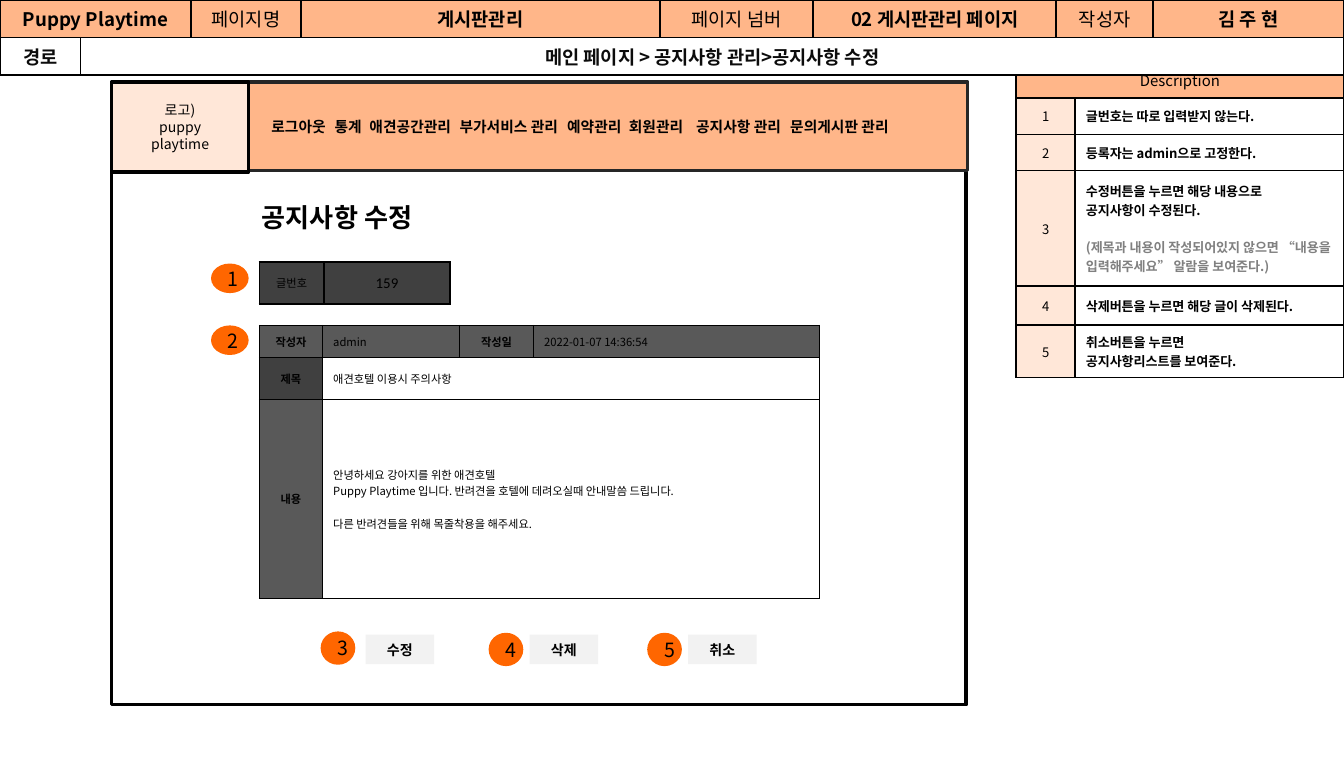
import pptx
import pptx.util
import pptx.dml.color
import pptx.enum.shapes
import pptx.enum.text
import pptx.oxml
import pptx.oxml.ns
from dataclasses import dataclass

Inches = pptx.util.Inches
Pt = pptx.util.Pt
Kind = pptx.enum.shapes.MSO_SHAPE
Align = pptx.enum.text.PP_ALIGN
Anchor = pptx.enum.text.MSO_ANCHOR
qn = pptx.oxml.ns.qn


@dataclass(frozen=True)
class Theme:
    font: str = "Noto Sans CJK KR"
    thin: str = "Calibri"
    ink: str = "000000"
    soft: str = "0C0C0C"
    edge: str = "262626"
    gray: str = "808080"
    white: str = "FFFFFF"
    peach: str = "FFB689"
    cream: str = "FFE7D8"
    dark: str = "404040"
    slate: str = "595959"
    mist: str = "F2F2F2"
    badge: str = "FF6600"
    title: float = 14
    mark: float = 10.5
    head: float = 10
    desc: float = 8
    menu: float = 7.9
    key: float = 7.5
    note: float = 7
    small: float = 6


T = Theme()
SIDES = ("left", "top", "right", "bottom")


def rgb(hue):
    return pptx.dml.color.RGBColor.from_string(hue)


def apply(item, form):
    for name, value in form.items():
        setattr(item, name, value)


def write(frame, text, size, bold=False, hue=T.ink, face=T.font, mid=True, gap=None):
    for index, part in enumerate(text.split("\n")):
        para = frame.paragraphs[0] if index == 0 else frame.add_paragraph()
        para.alignment = Align.CENTER if mid else Align.LEFT
        if gap and index == gap[0]:
            para.space_before = Pt(gap[1])
        run = para.add_run()
        run.text = part
        apply(run.font, {"size": Pt(size), "bold": bold, "name": face})
        tone = gap[2] if gap and index >= gap[0] else hue
        run.font.color.rgb = rgb(tone)
        east = pptx.oxml.parse_xml(
            f'<a:ea {pptx.oxml.ns.nsdecls("a")} typeface="{T.font}"/>')
        run.font._element.find(qn("a:latin")).addnext(east)


def inset(item, pads, stem):
    apply(item, {stem + side: Inches(pad) for side, pad in zip(SIDES, pads)})


def shape(slide, box, fill, kind=Kind.RECTANGLE, line=None, text="", pads=None, **form):
    item = slide.shapes.add_shape(kind, *map(Inches, box))
    item.shadow.inherit = False
    item.fill.solid()
    item.fill.fore_color.rgb = rgb(fill)
    if line:
        item.line.color.rgb = rgb(line)
        item.line.width = Pt(2)
    else:
        item.line.fill.background()
    if text:
        frame = item.text_frame
        apply(frame, {"word_wrap": True, "vertical_anchor": Anchor.MIDDLE})
        inset(frame, pads or (0.08, 0.04, 0.08, 0.04), "margin_")
        write(frame, text, **form)
    return item


def border(cell, width):
    props = cell._tc.get_or_add_tcPr()
    for side in "LRTB":
        props.append(pptx.oxml.parse_xml(
            f'<a:ln{side} {pptx.oxml.ns.nsdecls("a")} w="{Pt(width)}">'
            f'<a:solidFill><a:srgbClr val="{T.ink}"/></a:solidFill></a:ln{side}>'))


def table(slide, spot, cols, rows, cells, width, pads, spans=(), top=()):
    size = sum(cols), sum(rows)
    grid = slide.shapes.add_table(
        len(rows), len(cols), *map(Inches, (*spot, *size))).table
    for col, value in zip(grid.columns, cols):
        col.width = Inches(value)
    for row, value in zip(grid.rows, rows):
        row.height = Inches(value)
    for r, c, end in spans:
        grid.cell(r, c).merge(grid.cell(r, end))
    for r, line in enumerate(cells):
        for c, data in enumerate(line):
            cell = grid.cell(r, c)
            border(cell, width)
            cell.fill.solid()
            cell.fill.fore_color.rgb = rgb(data[1] if data else T.white)
            cell.vertical_anchor = Anchor.TOP if r in top else Anchor.MIDDLE
            inset(cell, pads, "margin_")
            if data:
                write(cell.text_frame, data[0], **data[2])


def cell(text, fill, size, **form):
    return text, fill, dict(size=size, **form)


def notes(slide):
    lines = (
        ("글번호는 따로 입력받지 않는다.", None),
        ("등록자는 admin으로 고정한다.", None),
        ("수정버튼을 누르면 해당 내용으로\n공지사항이 수정된다.\n"
         "(제목과 내용이 작성되어있지 않으면 “내용을 입력해주세요” 알람을 보여준다.)",
         (2, 10, T.gray)),
        ("삭제버튼을 누르면 해당 글이 삭제된다.", None),
        ("취소버튼을 누르면\n공지사항리스트를 보여준다.", None),
    )
    cells = [[cell("Description", T.peach, T.desc), None]]
    for index, (text, gap) in enumerate(lines, 1):
        cells.append([
            cell(str(index), T.cream, T.note),
            cell(text, T.white, T.note, bold=True, mid=False, gap=gap)])
    table(slide, (7.56, 0.48), (0.44, 2), (0.25, 0.27, 0.27, 0.86, 0.29, 0.39),
          cells, 1, (0.08, 0.03, 0.08, 0.03), [(0, 0, 1)], (0,))


def menu(slide):
    shape(slide, (0.83, 1.24, 6.36, 4), T.white, line=T.ink)
    names = ("로그아웃", "통계", "애견공간관리", "부가서비스 관리", "예약관리",
             "회원관리", "공지사항 관리", "문의게시판 관리")
    bar = shape(slide, (1.76, 0.61, 5.44, 0.66), T.peach, line=T.edge,
                text="\t".join(names), pads=(0.26, 0.04, 0.08, 0.04),
                size=T.menu, bold=True, mid=False)
    stops = "".join(f'<a:tab pos="{Inches(x)}" algn="l"/>'
                    for x in (0.47, 0.73, 1.4, 2.2, 2.66, 3.16, 3.86))
    props = bar.text_frame.paragraphs[0]._p.get_or_add_pPr()
    props.append(pptx.oxml.parse_xml(
        f'<a:tabLst {pptx.oxml.ns.nsdecls("a")}>{stops}</a:tabLst>'))
    shape(slide, (0.83, 0.61, 1.02, 0.67), T.cream, line=T.ink,
          text="로고)\npuppy\nplaytime", size=T.key)


def post(slide):
    def label(text, fill=T.slate):
        return cell(text, fill, T.small, bold=True)

    def value(text, fill=T.white, **form):
        return cell(text, fill, T.small, mid=False, **form)

    body = ("안녕하세요 강아지를 위한 애견호텔\n"
            "Puppy Playtime 입니다. 반려견을 호텔에 데려오실때 안내말씀 드립니다.\n"
            "다른 반려견들을 위해 목줄착용을 해주세요.")
    cells = [
        [label("작성자"), value("admin", T.slate),
         label("작성일"), value("2022-01-07 14:36:54", T.slate)],
        [label("제목", T.dark), value("애견호텔 이용시 주의사항", face=T.thin), None, None],
        [label("내용"), value(body, gap=(2, 9, T.ink)), None, None],
    ]
    table(slide, (1.93, 2.42), (0.47, 1.02, 0.55, 2.13), (0.24, 0.31, 1.48),
          cells, 0.75, (0.08, 0.04, 0.08, 0.04), [(1, 1, 3), (2, 1, 3)])


def header(slide):
    names = ("페이지명", "게시판관리", "페이지 넘버", "02 게시판관리 페이지",
             "작성자", "김 주 현")
    first = [cell("Puppy Playtime", T.peach, T.head, bold=True), None]
    first += [cell(name, T.peach, T.head, bold=index % 2 == 1)
              for index, name in enumerate(names)]
    trail = "메인 페이지 > 공지사항 관리>공지사항 수정"
    second = [cell(text, T.white, T.head, bold=True, hue=T.soft)
              for text in ("경로", trail)] + [None] * 6
    table(slide, (0, 0), (0.6, 0.82, 0.82, 2.67, 1.14, 1.81, 0.72, 1.42),
          (0.24, 0.24), [first, second], 1, (0.09, 0.04, 0.09, 0.04),
          [(0, 0, 1), (1, 1, 7)], (0,))


def title(slide):
    frame = slide.shapes.add_textbox(
        *map(Inches, (1.85, 1.45, 1.47, 0.32))).text_frame
    frame.word_wrap = False
    write(frame, "공지사항 수정", T.title, bold=True, mid=False)


def main():
    deck = pptx.Presentation()
    apply(deck, {"slide_width": Inches(10), "slide_height": Inches(5.63)})
    slide = deck.slides.add_slide(deck.slide_layouts[6])
    notes(slide)
    menu(slide)
    post(slide)
    header(slide)
    title(slide)
    table(slide, (1.93, 1.95), (0.48, 0.94), (0.31,),
          [[cell("글번호", T.dark, T.small, face=T.thin),
            cell("159", T.dark, T.desc, face=T.thin)]], 1, (0.1, 0.05, 0.1, 0.05))
    for text, x in (("수정", 2.72), ("삭제", 3.94), ("취소", 5.12)):
        shape(slide, (x, 4.72, 0.51, 0.22), T.mist, text=text, size=T.key, bold=True)
    spots = ((1.57, 1.96, 0.28), (1.57, 2.42, 0.28),
             (2.4, 4.71, 0.23), (3.65, 4.72, 0.23), (4.83, 4.72, 0.23))
    for index, (x, y, wide) in enumerate(spots, 1):
        shape(slide, (x, y, wide, 0.22), T.badge, Kind.OVAL,
              T.badge if index > 2 else None, str(index), size=T.mark)
    deck.save("out.pptx")


main()
